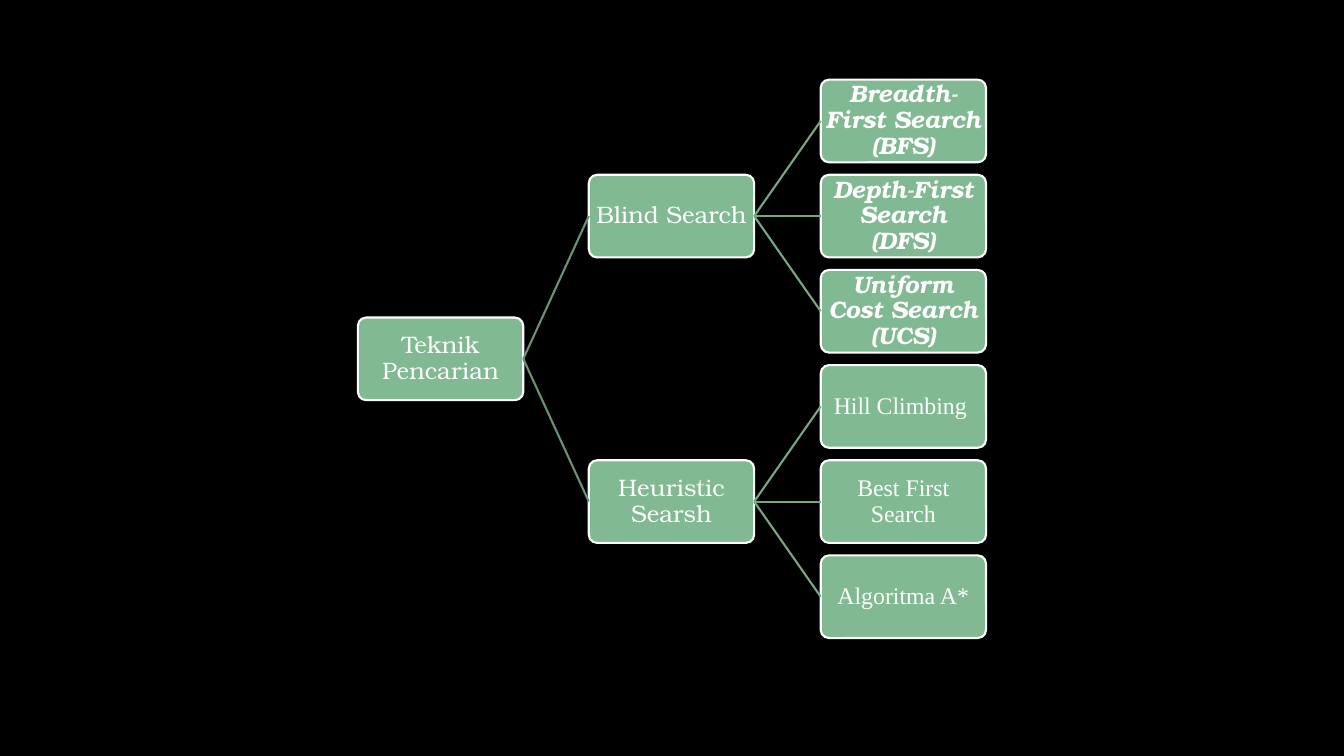
"""Draw a tree of search techniques from left to right."""
from lxml import etree
from pptx import Presentation
from pptx.dml.color import RGBColor
from pptx.enum.shapes import MSO_CONNECTOR, MSO_SHAPE
from pptx.enum.text import MSO_ANCHOR, PP_ALIGN
from pptx.oxml.ns import qn
from pptx.util import Inches, Pt

ROUND = MSO_SHAPE.ROUNDED_RECTANGLE
LINE = MSO_CONNECTOR.STRAIGHT
MIDDLE = MSO_ANCHOR.MIDDLE
CENTER = PP_ALIGN.CENTER

BONUM, TIMES = "TeX Gyre Bonum", "Times New Roman"
COLORS = {"back": "000000", "box": "81B992", "white": "FFFFFF",
          "trunk": "679475", "twig": "75A885"}
ROOT = "Teknik Pencarian"
GROUPS = [
    ("Blind Search", BONUM, True,
     ["Breadth-First Search (BFS)", "Depth-First Search (DFS)",
      "Uniform Cost Search (UCS)"]),
    ("Heuristic Searsh", TIMES, False,
     ["Hill Climbing ", "Best First Search", "Algoritma A*"]),
]

LEFTS = [3.55, 5.84, 8.14]
TOP, LAST = 0.79, 5.51
WIDTH, HEIGHT = 1.64, 0.82
COUNT = sum(len(group[3]) for group in GROUPS)
STEP = (LAST - TOP) / (COUNT - 1)


def color(name):
    return RGBColor.from_string(COLORS[name])


def add_box(slide, level, row, text, font=BONUM, strong=False):
    box = slide.shapes.add_shape(
        ROUND, Inches(LEFTS[level]), Inches(TOP + row * STEP),
        Inches(WIDTH), Inches(HEIGHT))
    box.adjustments[0] = 0.1
    box.shadow.inherit = False
    box.fill.solid()
    box.fill.fore_color.rgb = color("box")
    box.line.color.rgb = color("white")
    box.line.width = Pt(1.5)
    frame = box.text_frame
    frame.word_wrap = True
    frame.vertical_anchor = MIDDLE
    frame.margin_left = frame.margin_right = Inches(0.01)
    frame.margin_top = frame.margin_bottom = Inches(0.01)
    para = frame.paragraphs[0]
    para.alignment = CENTER
    para.line_spacing = 0.9
    run = para.add_run()
    run.text = text
    run.font.name = font
    run.font.size = Pt(17)
    run.font.bold = run.font.italic = strong
    run.font.color.rgb = color("white")
    return box


def join(slide, start, end, shade):
    link = slide.shapes.add_connector(LINE, 0, 0, 0, 0)
    link.begin_connect(start, 3)
    link.end_connect(end, 1)
    link.line.color.rgb = color(shade)
    link.line.width = Pt(1.5)
    etree.SubElement(link._element.spPr, qn("a:effectLst"))


def main():
    deck = Presentation()
    deck.slide_width, deck.slide_height = Inches(13.33), Inches(7.5)
    slide = deck.slides.add_slide(deck.slide_layouts[6])
    slide.background.fill.solid()
    slide.background.fill.fore_color.rgb = color("back")
    root = add_box(slide, 0, (COUNT - 1) / 2, ROOT)
    row = 0
    for title, font, strong, leaves in GROUPS:
        branch = add_box(slide, 1, row + (len(leaves) - 1) / 2, title)
        join(slide, root, branch, "trunk")
        for text in leaves:
            leaf = add_box(slide, 2, row, text, font, strong)
            join(slide, branch, leaf, "twig")
            row += 1
    deck.save("out.pptx")


if __name__ == "__main__":
    main()
